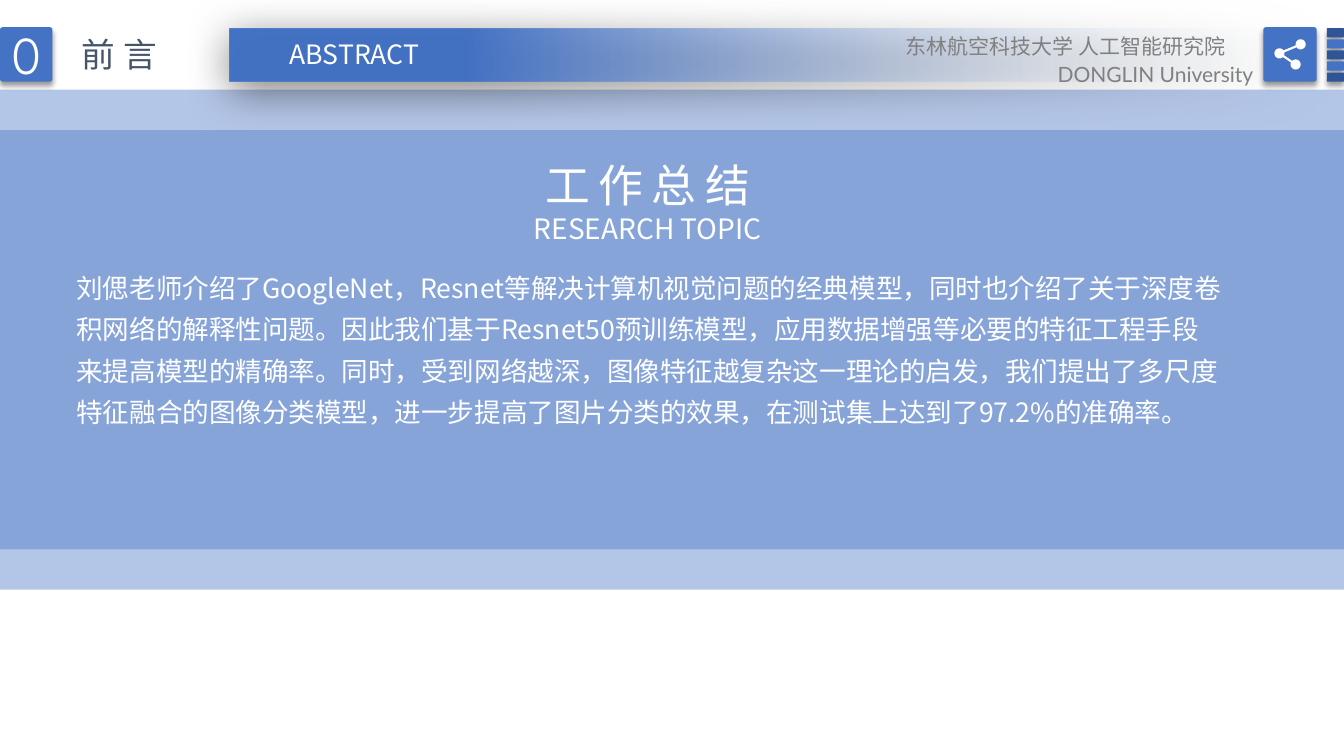
from math import cos, radians, sin

from lxml import etree
from pptx import Presentation
from pptx.dml.color import RGBColor
from pptx.enum.shapes import MSO_SHAPE
from pptx.enum.text import MSO_ANCHOR, MSO_AUTO_SIZE, PP_ALIGN
from pptx.oxml.ns import qn
from pptx.util import Inches, Pt

RECT, ROUND = MSO_SHAPE.RECTANGLE, MSO_SHAPE.ROUNDED_RECTANGLE
LEFT, CENTER, RIGHT = PP_ALIGN.LEFT, PP_ALIGN.CENTER, PP_ALIGN.RIGHT
TOP, MIDDLE = MSO_ANCHOR.TOP, MSO_ANCHOR.MIDDLE
FIT = MSO_AUTO_SIZE.SHAPE_TO_FIT_TEXT
COLORS = {
    "blue": "4472C4",
    "navy": "2F5597",
    "pale": "F7FAFD",
    "white": "FFFFFF",
    "slate": "44546A",
    "gray": "808080",
    "black": "000000",
}
CJK = "Noto Sans CJK SC"
SOFT_SHADOW = (40, 4, 3, 90)
BANNER_SHADOW = (50, 31, 6, 97)
SUMMARY = [
    "刘偲老师介绍了GoogleNet，Resnet等解决计算机视觉问题的经典模型，同时也介绍了关于深度卷积网络的解释性问题。因此我们基于Resnet50预训练模型，应用数据增强等必要的特征工程手段",
    "来提高模型的精确率。同时，受到网络越深，图像特征越复杂这一理论的启发，我们提出了多尺度特征融合的图像分类模型，进一步提高了图片分类的效果，在测试集上达到了97.2%的准确率。",
]


def rgb(name):
    return RGBColor.from_string(COLORS[name])


def set_alpha(color_element, percent):
    etree.SubElement(color_element, qn("a:alpha")).set("val", str(percent * 1000))


def add_shadow(sp, alpha, blur, dist, angle):
    effects = sp._element.spPr.find(qn("a:effectLst"))
    shadow = etree.SubElement(effects, qn("a:outerShdw"))
    values = {"blurRad": Pt(blur), "dist": Pt(dist), "dir": angle * 60000, "rotWithShape": 0}
    for key, value in values.items():
        shadow.set(key, str(value))
    color = etree.SubElement(shadow, qn("a:srgbClr"))
    color.set("val", COLORS["black"])
    set_alpha(color, alpha)


def paint(sp, color):
    sp.shadow.inherit = False
    sp.line.fill.background()
    sp.fill.solid()
    sp.fill.fore_color.rgb = rgb(color)


def add_block(s, kind, box, color="blue", corner=0, shadow=None):
    sp = s.shapes.add_shape(kind, *map(Inches, box))
    paint(sp, color)
    if kind == ROUND:
        sp.adjustments[0] = corner
    if shadow:
        add_shadow(sp, *shadow)
    return sp


def add_band(s, top):
    sp = add_block(s, ROUND, (0, top, 13.33, 4.56))
    set_alpha(sp._element.spPr.find(".//" + qn("a:srgbClr")), 40)


def add_banner(s):
    sp = add_block(s, RECT, (2.28, 0.28, 10.67, 0.53), shadow=BANNER_SHADOW)
    sp.fill.gradient()
    sp.fill.gradient_angle = 180
    for stop, (position, color) in zip(sp.fill.gradient_stops, [(0, "pale"), (0.78, "blue")]):
        stop.position = position
        stop.color.rgb = rgb(color)
    set_alpha(sp._element.spPr.find(".//" + qn("a:srgbClr")), 0)


def add_run(p, text, size, color, font=CJK, spacing=0):
    r = p.add_run()
    r.text = text
    r.font.color.rgb = rgb(color)
    for key, value in {"size": Pt(size), "name": font, "bold": False}.items():
        setattr(r.font, key, value)
    rPr = r._r.get_or_add_rPr()
    rPr.set("spc", str(spacing * 100))
    etree.SubElement(rPr, qn("a:ea")).set("typeface", font)


def fill_text(sp, lines, align=LEFT, anchor=TOP, wrap=True, fit=FIT, line_spacing=1.0):
    tf = sp.text_frame
    frame = {"word_wrap": wrap, "auto_size": fit, "vertical_anchor": anchor}
    for key, value in frame.items():
        setattr(tf, key, value)
    for i, line in enumerate(lines):
        p = tf.add_paragraph() if i else tf.paragraphs[0]
        p.alignment = align
        p.line_spacing = line_spacing
        add_run(p, *line)


def add_text(s, box, lines, **layout):
    fill_text(s.shapes.add_textbox(*map(Inches, box)), lines, **layout)


def place_title(s):
    title = s.shapes.title
    s.shapes._spTree.append(title._element)
    box = {"left": 1.59, "top": 1.51, "width": 9.67, "height": 0.97}
    for key, value in box.items():
        setattr(title, key, Inches(value))
    lines = [("工作总结", 32, "white", CJK, 6), ("RESEARCH TOPIC", 20, "white")]
    fill_text(title, lines, align=CENTER)


def add_share_icon(s):
    radius = 0.05
    upper, middle, lower = (12.9, 0.44), (12.69, 0.53), (12.85, 0.64)
    arcs = [(upper, 168, 504), (middle, -12, 23), (lower, 227, 563), (middle, 47, 324)]
    steps = 24
    points = []
    for (x, y), start, end in arcs:
        for i in range(steps + 1):
            angle = radians(start + (end - start) * i / steps)
            points.append((Inches(x + radius * cos(angle)), Inches(y + radius * sin(angle))))
    outline = s.shapes.build_freeform(*points[0])
    outline.add_line_segments(points[1:], close=True)
    paint(outline.convert_to_shape(), "white")


def add_stripes(s):
    for i in range(5):
        color = "blue" if i % 2 else "navy"
        add_block(s, ROUND, (13.16, 0.28 + 0.11 * i, 0.17, 0.09), color, 0.05, SOFT_SHADOW)


def main():
    prs = Presentation()
    prs.slide_width, prs.slide_height = Inches(13.33), Inches(7.5)
    s = prs.slides.add_slide(prs.slide_layouts[5])

    for top in (1.29, 0.89):
        add_band(s, top)
    add_banner(s)
    number = add_block(s, ROUND, (0, 0.27, 0.52, 0.54), corner=0.05, shadow=SOFT_SHADOW)
    fill_text(number, [("0", 36, "white", "Quicksand")], align=CENTER, anchor=MIDDLE, fit=None)
    add_text(s, (0.71, 0.29, 1.04, 0.5), [("前言", 24, "slate", CJK, 6)], wrap=False)
    add_text(s, (2.75, 0.33, 1.53, 0.42), [("ABSTRACT", 19, "white")], align=CENTER, wrap=False)
    place_title(s)

    add_stripes(s)
    add_block(s, ROUND, (12.53, 0.27, 0.53, 0.54), corner=0.05, shadow=SOFT_SHADOW)
    add_share_icon(s)
    add_text(s, (8.7, 0.28, 3.55, 0.4), [("东林航空科技大学 人工智能研究院", 15, "gray")], align=RIGHT)
    add_text(s, (8.7, 0.56, 3.83, 0.35), [("DONGLIN University", 15, "gray", "Lato")], align=RIGHT)

    lines = [(text, 19, "white") for text in SUMMARY]
    add_text(s, (0.66, 2.55, 11.78, 1.76), lines, line_spacing=1.3)
    prs.save("out.pptx")


if __name__ == "__main__":
    main()
